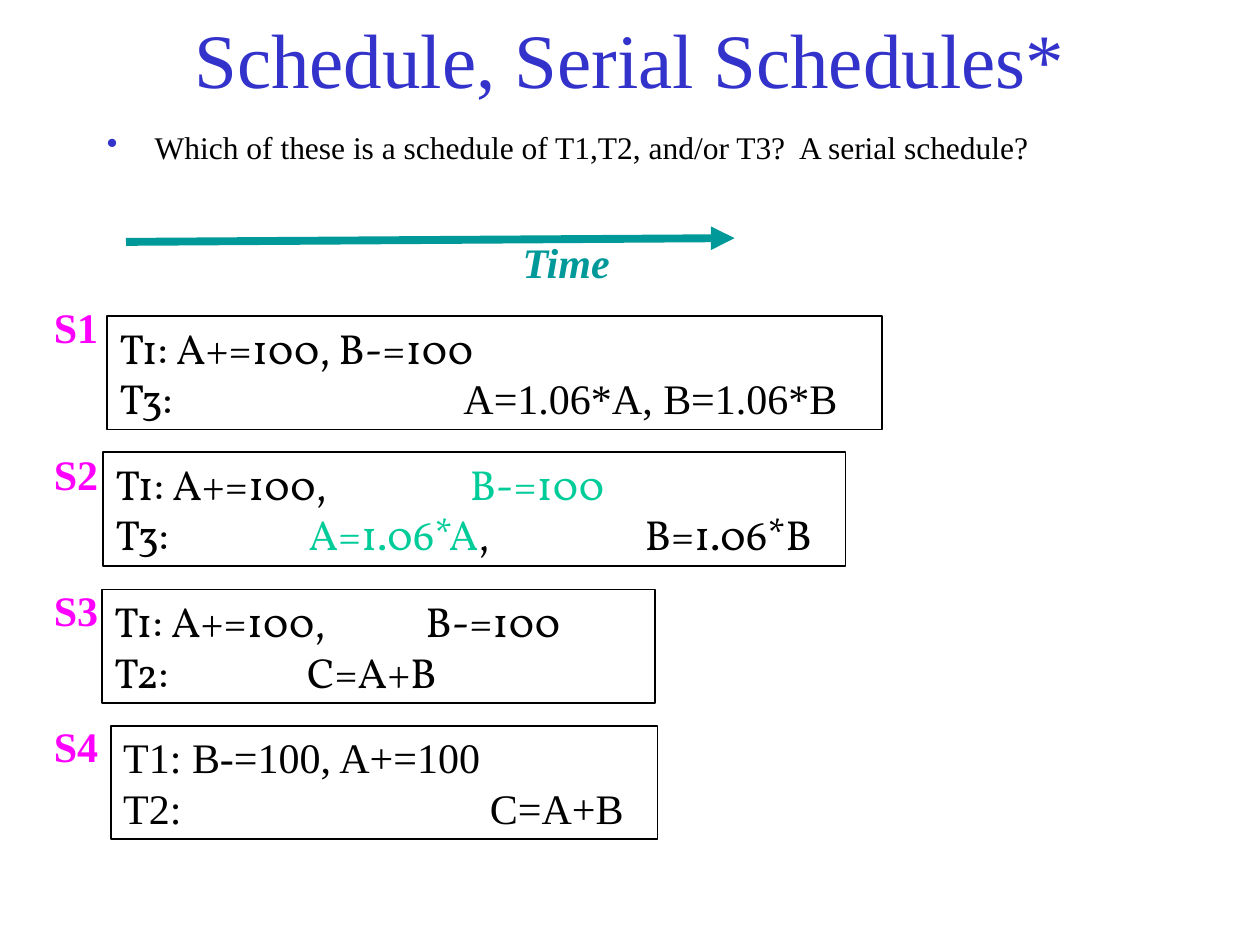
"""Build the slide on schedules and serial schedules."""
from dataclasses import dataclass

from lxml.etree import SubElement
from pptx import Presentation
from pptx.dml.color import RGBColor
from pptx.enum.shapes import MSO_CONNECTOR, MSO_SHAPE
from pptx.enum.text import MSO_ANCHOR, PP_ALIGN
from pptx.oxml.ns import qn
from pptx.util import Inches, Pt

COLORS = {"title": "3333CC", "text": "000000", "time": "009999",
          "label": "FF00FF", "highlight": "00CC99"}
SERIF = "Times New Roman"
DISPLAY = "Vollkorn"


@dataclass(frozen=True)
class Run:
    text: str
    font: str = SERIF
    size: float = 24
    color: str = "text"
    bold: bool = False
    italic: bool = False


@dataclass(frozen=True)
class Line:
    runs: tuple[Run, ...]
    tabs: tuple[float, ...] = ()


@dataclass(frozen=True)
class Schedule:
    name: str
    label_top: float
    left: float
    top: float
    width: float
    lines: tuple[Line, ...]


SCHEDULES = (
    Schedule("S1", 2.34, 0.85, 2.51, 6.15, (
        Line((Run("T1: A+=100, B-=100", DISPLAY),)),
        Line((Run("T3:\t", DISPLAY), Run("A=1.06*A, B=1.06*B")), (2.73,)))),
    Schedule("S2", 3.51, 0.82, 3.59, 5.89, (
        Line((Run("T1: A+=100,\t", DISPLAY),
              Run("B-=100", DISPLAY, color="highlight")), (2.81,)),
        Line((Run("T3:\t", DISPLAY), Run("A=1.06*A", DISPLAY, color="highlight"),
              Run(",\tB=1.06*B", DISPLAY)), (1.53, 4.2)))),
    Schedule("S3", 4.59, 0.81, 4.68, 4.39, (
        Line((Run("T1: A+=100,\tB-=100", DISPLAY),), (2.47,)),
        Line((Run("T2:\tC=A+B", DISPLAY),), (1.53,)))),
    Schedule("S4", 5.67, 0.88, 5.76, 4.34, (
        Line((Run("T1: B-=100, A+=100"),)),
        Line((Run("T2:\tC=A+B"),), (2.91,)))),
)


def rgb(name: str) -> RGBColor:
    """Return a named colour."""
    return RGBColor.from_string(COLORS[name])


def add_runs(paragraph, runs: tuple[Run, ...]) -> None:
    """Add formatted runs to a paragraph."""
    for item in runs:
        run = paragraph.add_run()
        run.text = item.text
        run.font.name = item.font
        run.font.size = Pt(item.size)
        run.font.bold = item.bold
        run.font.italic = item.italic
        run.font.color.rgb = rgb(item.color)


def add_tabs(paragraph, positions: tuple[float, ...]) -> None:
    """Set left tab stops on a paragraph."""
    if positions:
        tab_list = SubElement(paragraph._p.get_or_add_pPr(), qn("a:tabLst"))
        for position in positions:
            SubElement(tab_list, qn("a:tab"), pos=str(Inches(position)), algn="l")


def add_text(slide, left: float, top: float, width: float, height: float, run: Run):
    """Add a one-run text box and return it."""
    shape = slide.shapes.add_textbox(Inches(left), Inches(top), Inches(width), Inches(height))
    shape.text_frame.word_wrap = True
    add_runs(shape.text_frame.paragraphs[0], (run,))
    return shape


def add_question(slide) -> None:
    """Add the bulleted question."""
    shape = add_text(slide, 0.75, 1, 8.5, 0.58, Run(
        "Which of these is a schedule of T1,T2, and/or T3?  A serial schedule?", size=18))
    paragraph = shape.text_frame.paragraphs[0]
    paragraph.line_spacing = 0.9
    properties = paragraph._p.get_or_add_pPr()
    properties.set("marL", str(Inches(0.38)))
    properties.set("indent", str(-Inches(0.38)))
    bullet_color = SubElement(properties, qn("a:buClr"))
    SubElement(bullet_color, qn("a:srgbClr"), val=COLORS["title"])
    SubElement(properties, qn("a:buChar"), char="•")


def add_time_arrow(slide) -> None:
    """Add the time arrow and its caption."""
    arrow = slide.shapes.add_connector(
        MSO_CONNECTOR.STRAIGHT, Inches(1), Inches(1.92), Inches(5.83), Inches(1.89))
    arrow.line.color.rgb = rgb("time")
    arrow.line.width = Pt(4.5)
    SubElement(arrow.line._get_or_add_ln(), qn("a:tailEnd"), type="triangle")
    SubElement(arrow._element.spPr, qn("a:effectLst"))
    add_text(slide, 4.05, 1.83, 1.2, 0.5, Run("Time", color="time", bold=True, italic=True))


def add_schedule(slide, schedule: Schedule) -> None:
    """Add a framed schedule and its label."""
    shape = slide.shapes.add_shape(
        MSO_SHAPE.RECTANGLE, Inches(schedule.left), Inches(schedule.top),
        Inches(schedule.width), Inches(0.9))
    shape.shadow.inherit = False
    shape.fill.background()
    shape.line.color.rgb = rgb("text")
    shape.line.width = Pt(1)
    frame = shape.text_frame
    frame.word_wrap = True
    frame.vertical_anchor = MSO_ANCHOR.TOP
    for index, line in enumerate(schedule.lines):
        paragraph = frame.add_paragraph() if index else frame.paragraphs[0]
        paragraph.alignment = PP_ALIGN.LEFT
        add_tabs(paragraph, line.tabs)
        add_runs(paragraph, line.runs)
    add_text(slide, 0.33, schedule.label_top, 0.67, 0.5,
             Run(schedule.name, color="label", bold=True))


def main() -> None:
    """Build and save the presentation."""
    presentation = Presentation()
    presentation.slide_width = Inches(10)
    presentation.slide_height = Inches(7.5)
    slide = presentation.slides.add_slide(presentation.slide_layouts[6])
    title = add_text(slide, 0.75, 0, 8.5, 0.92,
                     Run("Schedule, Serial Schedules*", size=44, color="title"))
    title.text_frame.vertical_anchor = MSO_ANCHOR.MIDDLE
    title.text_frame.paragraphs[0].alignment = PP_ALIGN.CENTER
    add_question(slide)
    add_time_arrow(slide)
    for schedule in SCHEDULES:
        add_schedule(slide, schedule)
    presentation.save("out.pptx")


if __name__ == "__main__":
    main()
